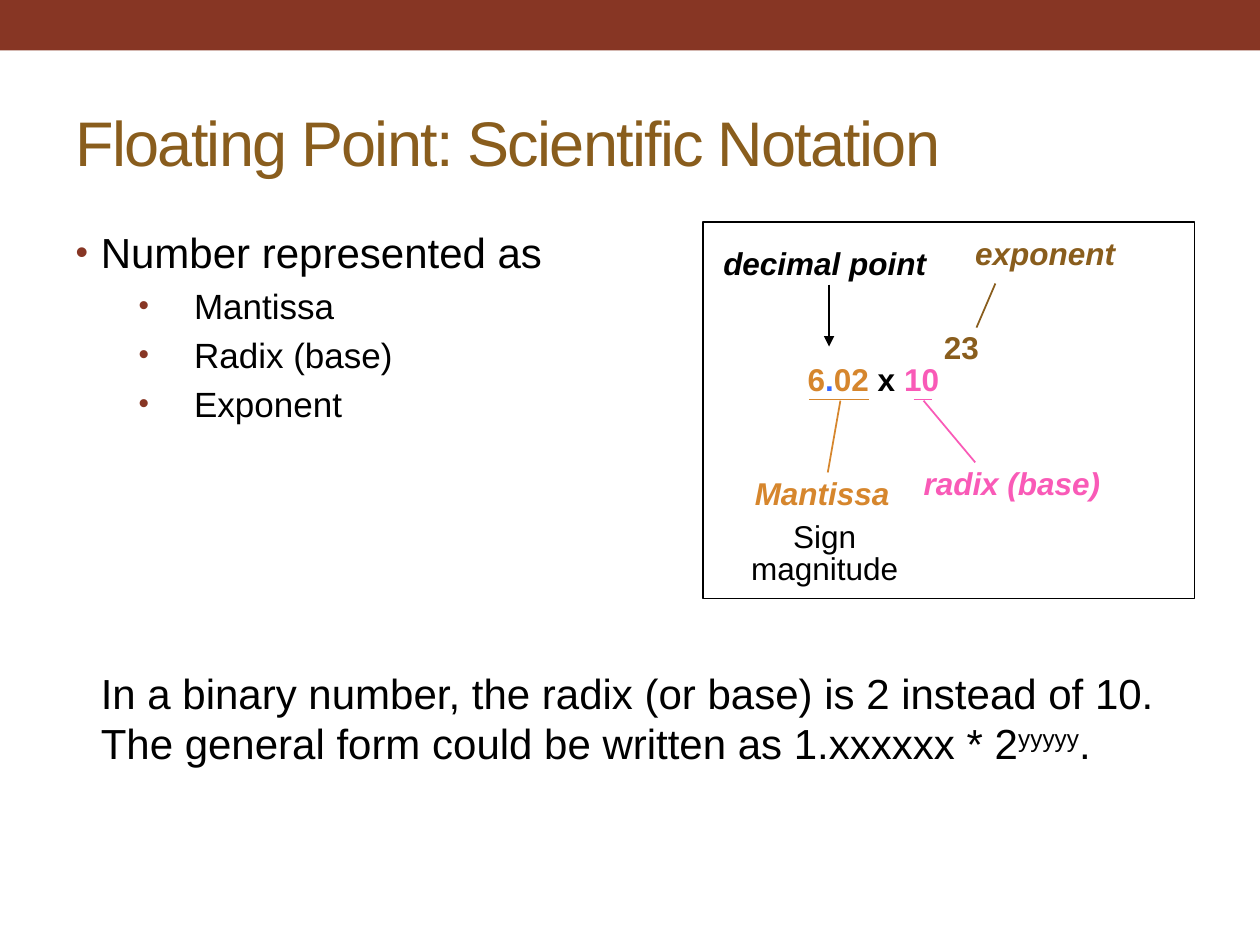
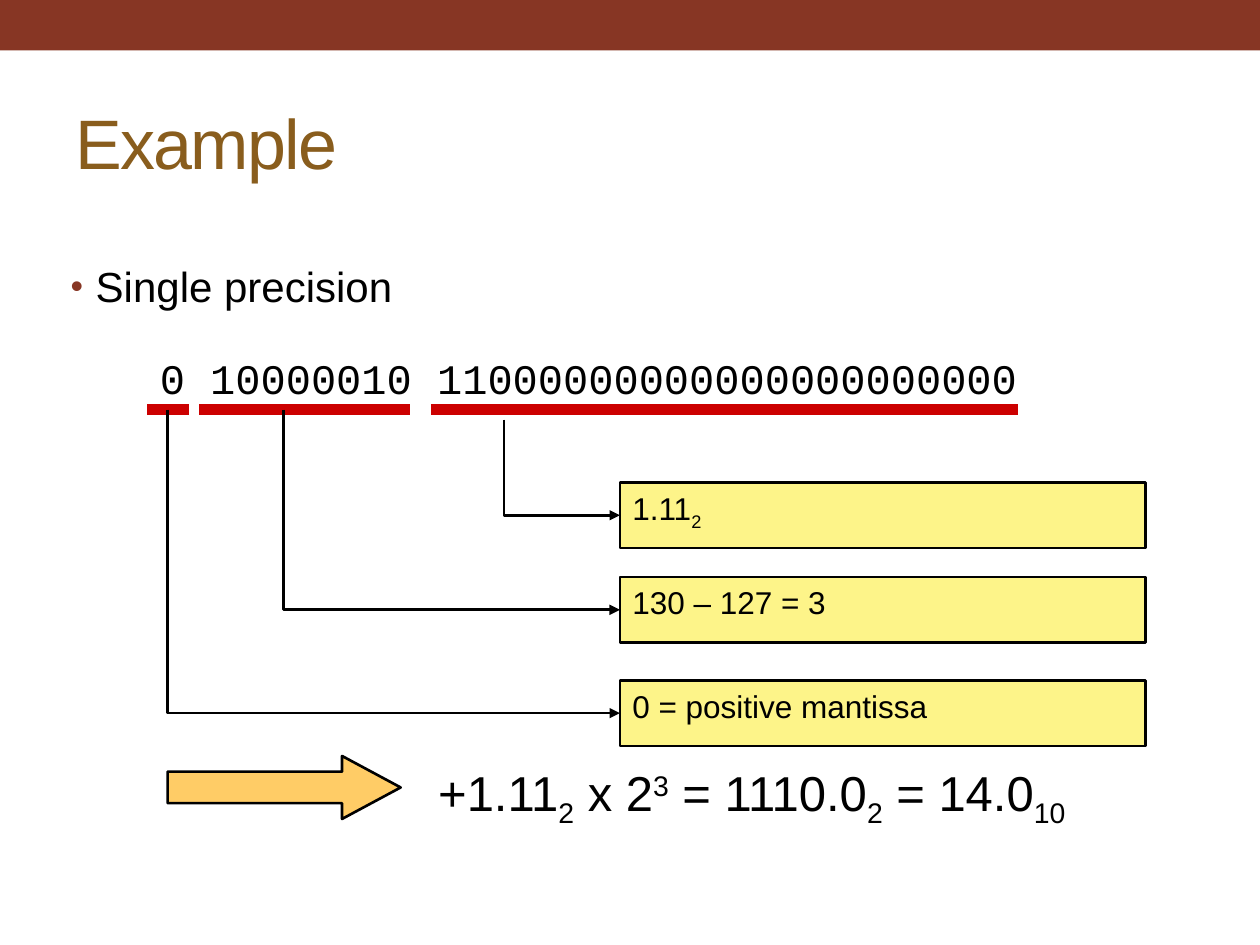
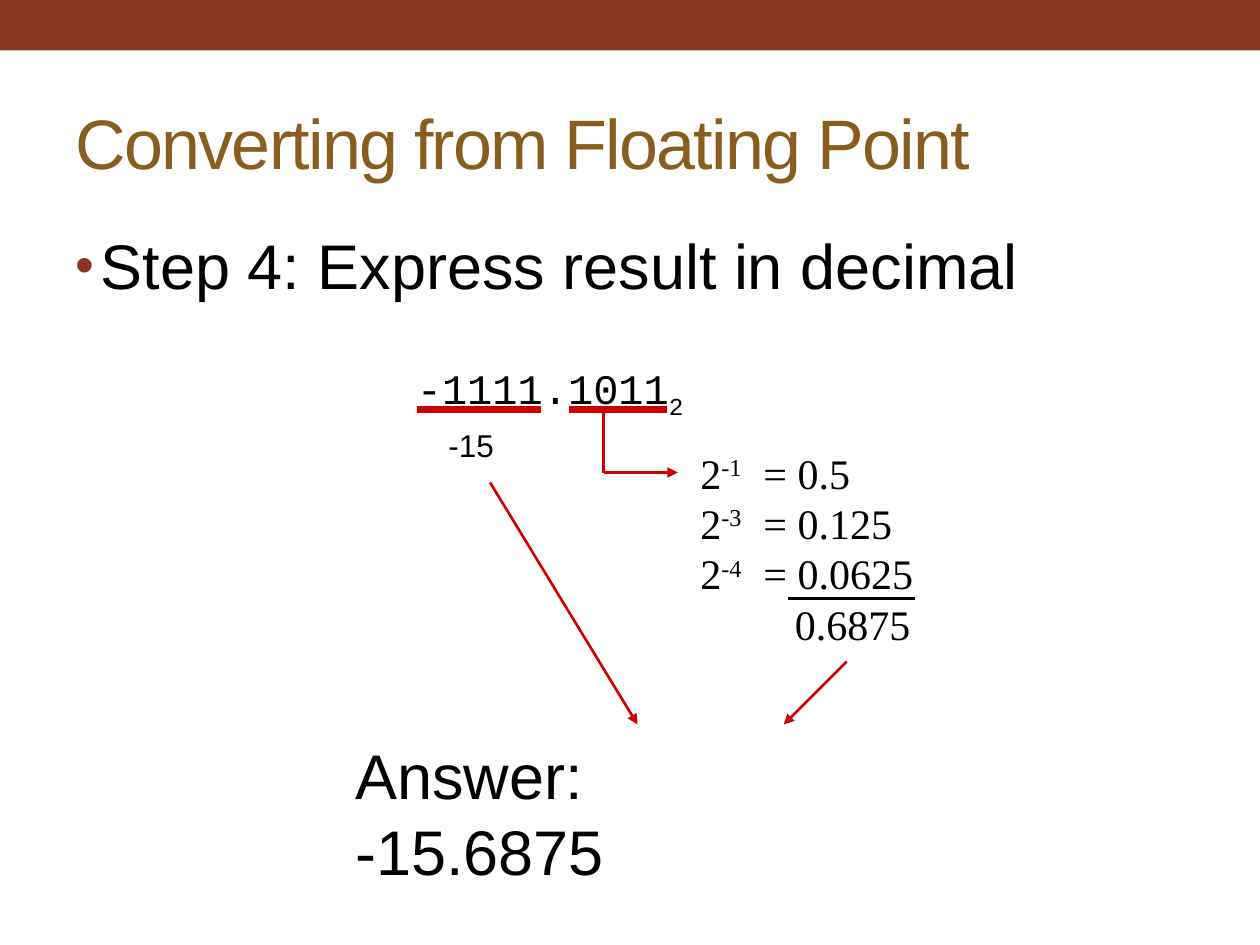
from pptx import Presentation
from pptx.dml.color import RGBColor
from pptx.enum.shapes import MSO_CONNECTOR as Connector, MSO_SHAPE as Preset
from pptx.enum.text import MSO_ANCHOR as Anchor, MSO_AUTO_SIZE as AutoSize, PP_ALIGN as Align
from pptx.oxml.ns import qn
from pptx.util import Inches, Pt
from lxml.etree import SubElement

BROWN_RED = RGBColor(0x87, 0x36, 0x24)
BRONZE = RGBColor(0x89, 0x5D, 0x1D)
ORANGE = RGBColor(0xD6, 0x86, 0x2D)
PINK = RGBColor(0xF9, 0x5A, 0xB7)
BLUE = RGBColor(0x33, 0x66, 0xFF)
RED = RGBColor(0xCC, 0x00, 0x00)
YELLOW = RGBColor(0xFC, 0xEB, 0x14)
GOLD = RGBColor(0xFF, 0xCC, 0x66)
BLACK = RGBColor(0, 0, 0)

BULLET = {"left": 0.2, "hanging": 0.2, "bullet": True}
SUB_BULLET = {"left": 0.94, "hanging": 0.44, "bullet": True, "level": 1}
SUPER = {"baseline": 30}
SUB = {"baseline": -25}
LABEL = {"bold": True, "line_spacing": 0.85, "insets": (0.07, 0.03), "wrap": False}

# Scientific notation: a paragraph is a string or a list of (text, run format)
NOTATION_PARTS = ["Mantissa", "Radix (base)", "Exponent"]
GENERAL_FORM = [
    ("In a binary number, the radix (or base) is 2 instead of 10. "
     "The general form could be written as 1.xxxxxx * 2", {}),
    ("yyyyy", SUPER), (".", {})]
NUMBER = [("6", {"color": ORANGE}), (".", {"color": BLUE}), ("02 ", {"color": ORANGE}),
          ("x ", {}), ("10", {"color": PINK})]
NOTATION_LABELS = [  # paragraphs, (left, top, width, height), format
    ([NUMBER], (6.34, 2.87, 1.18, 0.31), {}),
    (["23"], (7.42, 2.62, 0.42, 0.31), {"color": BRONZE}),
    (["exponent"], (7.67, 1.87, 1.4, 0.31), {"color": BRONZE, "italic": True}),
    (["radix (base)"], (7.26, 3.7, 1.54, 0.31), {"color": PINK, "italic": True}),
    (["Mantissa"], (5.92, 3.78, 1.32, 0.31), {"color": ORANGE, "italic": True}),
    (["decimal point"], (5.67, 1.95, 1.75, 0.31), {"italic": True}),
    (["Sign", "magnitude"], (5.89, 4.12, 1.31, 0.57), {"bold": False, "align": Align.CENTER}),
]
NOTATION_LINES = [  # start, end, colour, arrow
    ((6.42, 3.17), (6.9, 3.17), ORANGE, False),
    ((6.67, 3.18), (6.57, 3.75), ORANGE, False),
    ((7.25, 3.17), (7.4, 3.17), PINK, False),
    ((7.33, 3.18), (7.74, 3.67), PINK, False),
    ((7.75, 2.6), (7.9, 2.25), BRONZE, False),
    ((6.58, 2.26), (6.58, 2.75), BLACK, True),
]

# Single precision example
BIT_FIELDS = [(1.17, 1.5), (1.58, 3.25), (3.42, 8.08)]
FIELD_MEANINGS = [  # paragraph, box top, where its arrow starts
    ([("1.11", {}), ("2", SUB)], 3.83, (4, 3.33)),
    ("130 – 127 = 3", 4.58, (2.25, 3.25)),
    ("0 = positive mantissa", 5.4, (1.33, 3.25)),
]
RESULT = [("+1.11", {}), ("2", SUB), (" x 2", {}), ("3", SUPER), (" = 1110.0", {}),
          ("2", SUB), (" = 14.0", {}), ("10", SUB)]
MEANING_LEFT, MEANING_WIDTH, MEANING_HEIGHT = 4.92, 4.17, 0.52

# Conversion to decimal
POWERS = [("-1", "0.5"), ("-3", "0.125"), ("-4", "0.0625")]
BINARY_PARTS = [(3.31, 4.29), (4.52, 5.29)]
CONVERSION_LINES = [  # start, end, colour, arrow
    ((6.25, 4.75), (7.26, 4.75), BLACK, False),
    ((4.79, 3.25), (4.79, 3.75), RED, False),
    ((4.79, 3.75), (5.38, 3.75), RED, True),
    ((3.89, 3.83), (5.06, 5.75), RED, True),
    ((6.72, 5.25), (6.22, 5.75), RED, True),
]


def place(shape, left, top, width, height):
    shape.left, shape.top = Inches(left), Inches(top)
    shape.width, shape.height = Inches(width), Inches(height)


def add_run(paragraph, text, size=18, font="Arial", color=BLACK, bold=False, italic=False,
            baseline=0, spacing=0):
    run = paragraph.add_run()
    run.text = text
    run.font.size, run.font.name = Pt(size), font
    run.font.bold, run.font.italic = bold, italic
    run.font.color.rgb = color
    properties = run._r.get_or_add_rPr()
    if baseline:
        properties.set("baseline", str(baseline * 1000))
    if spacing:
        properties.set("spc", str(spacing * 100))


def format_paragraph(paragraph, align=Align.LEFT, line_spacing=None, space_before=None,
                     level=0, left=0, hanging=0, bullet=False, tab=None):
    paragraph.alignment, paragraph.level = align, level
    if line_spacing:
        paragraph.line_spacing = line_spacing
    if space_before is not None:
        paragraph.space_before = Pt(space_before)
    properties = paragraph._p.get_or_add_pPr()
    properties.set("marL", str(Inches(left)))
    properties.set("indent", str(-Inches(hanging)))
    if bullet:
        color = SubElement(properties, qn("a:buClr"))
        SubElement(color, qn("a:srgbClr"), val=str(BROWN_RED))
        SubElement(properties, qn("a:buSzPct"), val="85000")
        SubElement(properties, qn("a:buFont"), typeface="Arial")
        SubElement(properties, qn("a:buChar"), char="•")
    else:
        SubElement(properties, qn("a:buNone"))
    if tab:
        stops = SubElement(properties, qn("a:tabLst"))
        SubElement(stops, qn("a:tab"), pos=str(Inches(tab)), algn="l")


def add_paragraph(frame, content, align=Align.LEFT, line_spacing=None, space_before=None,
                  level=0, left=0, hanging=0, bullet=False, tab=None, **run_format):
    """Fill the first paragraph if it is still empty, else append one."""
    first = frame.paragraphs[0]
    paragraph = frame.add_paragraph() if first.runs else first
    format_paragraph(paragraph, align, line_spacing, space_before, level, left, hanging,
                     bullet, tab)
    runs = [(content, {})] if isinstance(content, str) else content
    for text, changes in runs:
        add_run(paragraph, text, **{**run_format, **changes})


def write(shape, paragraphs, wrap=True, anchor=Anchor.TOP, insets=(0.1, 0.05), **text_format):
    frame = shape.text_frame
    frame.word_wrap, frame.auto_size = wrap, AutoSize.NONE
    frame.vertical_anchor = anchor
    frame.margin_left = frame.margin_right = Inches(insets[0])
    frame.margin_top = frame.margin_bottom = Inches(insets[1])
    for content in paragraphs:
        add_paragraph(frame, content, **text_format)


def add_text(slide, paragraphs, box, **text_format):
    shape = slide.shapes.add_textbox(*map(Inches, box))
    write(shape, paragraphs, **text_format)


def add_box(slide, preset, box, fill=None, line=BLACK, width=1.5, opacity=None):
    shape = slide.shapes.add_shape(preset, *map(Inches, box))
    shape.shadow.inherit = False
    if fill is None:
        shape.fill.background()
    else:
        shape.fill.solid()
        shape.fill.fore_color.rgb = fill
    if opacity:
        color = shape.element.spPr.find(qn("a:solidFill")).find(qn("a:srgbClr"))
        SubElement(color, qn("a:alpha"), val=str(opacity * 1000))
    if line is None:
        shape.line.fill.background()
    else:
        shape.line.color.rgb, shape.line.width = line, Pt(width)
    return shape


def style_line(shape, color, width, arrow):
    shape.line.color.rgb, shape.line.width = color, Pt(width)
    if arrow:
        SubElement(shape.line._get_or_add_ln(), qn("a:tailEnd"), type="triangle")


def add_line(slide, start, end, color, arrow=False, width=1.5):
    line = slide.shapes.add_connector(Connector.STRAIGHT, *map(Inches, start + end))
    style_line(line, color, width, arrow)
    SubElement(line.element.spPr, qn("a:effectLst"))


def add_elbow_arrow(slide, start, end):
    """Draw an arrow that goes down from start, then across to end."""
    start_x, start_y, end_x, end_y = map(Inches, start + end)
    builder = slide.shapes.build_freeform(start_x, start_y)
    builder.add_line_segments([(start_x, end_y), (end_x, end_y)], close=False)
    elbow = builder.convert_to_shape()
    elbow.shadow.inherit = False
    elbow.fill.background()
    style_line(elbow, BLACK, 1.5, True)


def add_slide(presentation, title, title_size=40, body_box=(0.5, 1.75, 9, 5.33)):
    """Return a new titled slide and its body placeholder."""
    slide = presentation.slides.add_slide(presentation.slide_layouts[1])
    place(slide.shapes.title, 0.5, 0.58, 9, 1.08)
    write(slide.shapes.title, [title], anchor=Anchor.MIDDLE, size=title_size, color=BRONZE,
          spacing=-1)
    body = slide.placeholders[1]
    place(body, *body_box)
    return slide, body


def move_band_to_master(presentation, slide):
    band = add_box(slide, Preset.RECTANGLE, (0, 0, 10, 0.4), fill=BROWN_RED, line=None)
    presentation.slide_master.shapes.element.insert(2, band.element)


def add_notation_slide(presentation):
    slide, body = add_slide(presentation, "Floating Point: Scientific Notation", 36)
    move_band_to_master(presentation, slide)
    write(body, ["Number represented as"], size=24, **BULLET)
    for part in NOTATION_PARTS:
        add_paragraph(body.text_frame, part, size=20, **SUB_BULLET)
    add_paragraph(body.text_frame, GENERAL_FORM, size=24, left=0.2, space_before=139)
    for paragraphs, box, changes in NOTATION_LABELS:
        add_text(slide, paragraphs, box, **{**LABEL, **changes})
    for start, end, color, arrow in NOTATION_LINES:
        add_line(slide, start, end, color, arrow, width=1)
    add_box(slide, Preset.RECTANGLE, (5.58, 1.76, 3.9, 2.99), width=1)


def add_example_slide(presentation):
    slide, body = add_slide(presentation, "Example", body_box=(0.46, 2.02, 9, 4.8))
    write(body, ["Single precision"], size=24, **BULLET)
    add_text(slide, ["0 10000010 11000000000000000000000"], (1.17, 2.75, 8, 0.51),
             size=24, font="Courier New", space_before=4)
    for left, right in BIT_FIELDS:
        add_line(slide, (left, 3.25), (right, 3.25), RED, width=6)
    for content, top, start in FIELD_MEANINGS:
        box = add_box(slide, Preset.RECTANGLE,
                      (MEANING_LEFT, top, MEANING_WIDTH, MEANING_HEIGHT),
                      fill=YELLOW, opacity=50)
        write(box, [content], space_before=3)
        add_elbow_arrow(slide, start, (MEANING_LEFT, top + MEANING_HEIGHT / 2))
    add_text(slide, [RESULT], (3.38, 6, 5.54, 0.57), size=28, space_before=4)
    arrow = add_box(slide, Preset.RIGHT_ARROW, (1.33, 6, 1.85, 0.5), fill=GOLD)
    arrow.adjustments[0], arrow.adjustments[1] = 0.5, 0.93


def add_conversion_slide(presentation):
    slide, body = add_slide(presentation, "Converting from Floating Point")
    write(body, ["Step 4: Express result in decimal"], size=36, **BULLET)
    add_text(slide, [[("-1111.1011", {}), ("2", SUB)]], (3.21, 2.83, 4.46, 0.51),
             size=24, font="Courier New")
    for left, right in BINARY_PARTS:
        add_line(slide, (left, 3.25), (right, 3.25), RED, width=4.5)
    add_text(slide, ["-15"], (3.46, 3.33, 0.65, 0.5))
    sums = slide.shapes.add_textbox(*map(Inches, (5.46, 3.5, 2.21, 1.7)))
    sum_font = {"size": 24, "font": "Times New Roman"}
    write(sums, [[("2", {}), (power, SUPER), (f"\t= {value}", {})] for power, value in POWERS],
          tab=0.5, **sum_font)
    add_paragraph(sums.text_frame, "0.6875", left=0.75, **sum_font)
    for start, end, color, arrow in CONVERSION_LINES:
        add_line(slide, start, end, color, arrow)
    add_text(slide, ["Answer: -15.6875"], (2.72, 5.8, 3.81, 1.3), size=36)


def main():
    presentation = Presentation()
    presentation.slide_width, presentation.slide_height = Inches(10), Inches(7.5)
    add_notation_slide(presentation)
    add_example_slide(presentation)
    add_conversion_slide(presentation)
    presentation.save("out.pptx")


if __name__ == "__main__":
    main()
